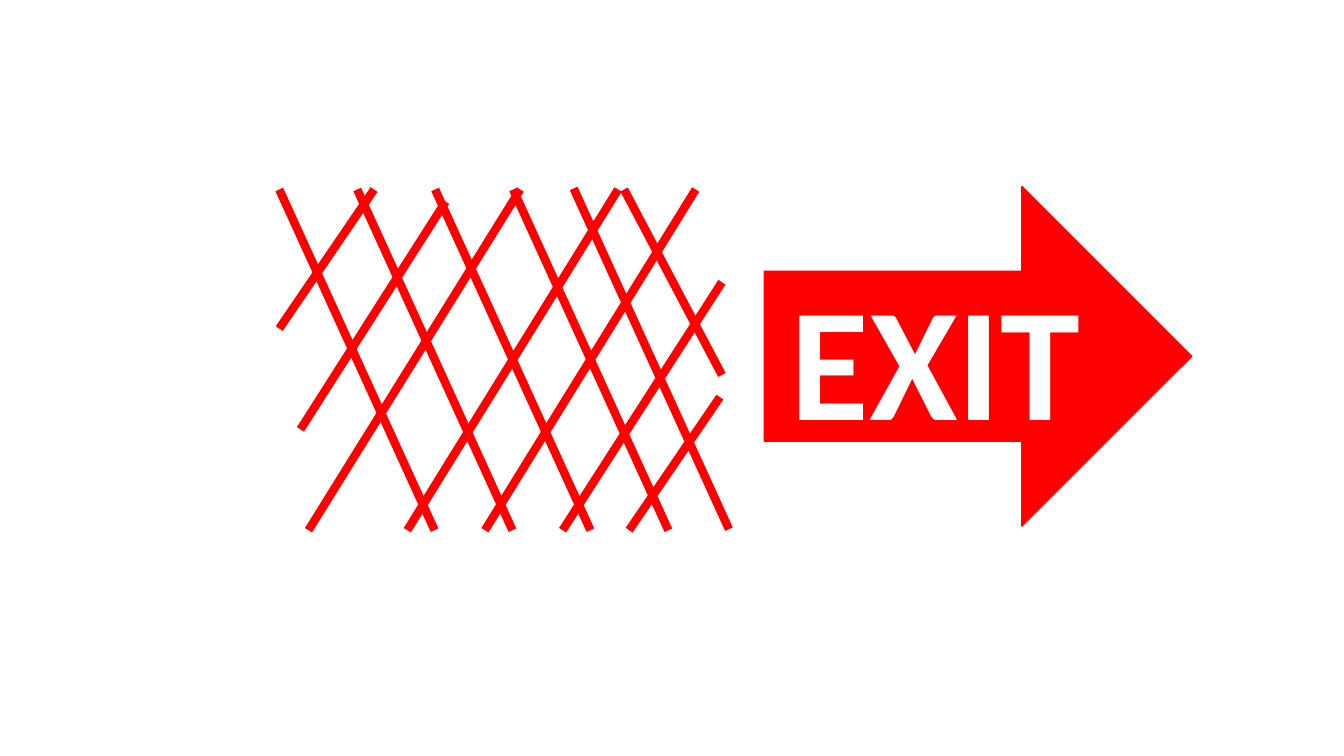
"""Build a slide with a lattice gate beside an exit arrow."""
from typing import NamedTuple

import pptx
import pptx.dml.color
import pptx.enum.shapes
import pptx.enum.text
import pptx.oxml.ns
import pptx.util
from pptx.util import Inches

COLORS = {"red": "FF0000", "white": "FFFFFF"}
TOP, BOTTOM = 1.88, 5.26
BAR_STEP = 0.773


class Bar(NamedTuple):
    """A lattice bar from its upper end to its lower end, in inches."""
    x1: float
    y1: float
    x2: float
    y2: float


FALLING_BARS = [
    Bar(2.77 + i * BAR_STEP, TOP, 4.31 + i * BAR_STEP, BOTTOM) for i in range(4)
] + [
    Bar(5.69, 1.87, 7.23, 5.25),
    Bar(6.19, TOP, 7.16, 3.72),
]
RISING_BARS = [
    Bar(3.71, TOP, 2.77, 3.26),
    Bar(4.42, 2.0, 2.98, 4.26),
    Bar(5.16, TOP, 3.06, BOTTOM),
    Bar(6.13, TOP, 4.04, BOTTOM),
    Bar(6.9, TOP, 4.81, BOTTOM),
    Bar(7.16, 2.8, 5.58, BOTTOM),
    Bar(7.14, 3.94, 6.24, BOTTOM),
]


def rgb(name: str) -> pptx.dml.color.RGBColor:
    """Return the named colour."""
    return pptx.dml.color.RGBColor.from_string(COLORS[name])


def set_line(line, color: str, width: float) -> None:
    """Give an outline its colour and its width in points."""
    line.color.rgb = rgb(color)
    line.width = pptx.util.Pt(width)


def set_text(shape, text: str, *, size: float, color: str,
             font: str = "Calibri", bold: bool = False) -> None:
    """Write centred text into a shape."""
    frame = shape.text_frame
    frame.word_wrap = True
    frame.vertical_anchor = pptx.enum.text.MSO_ANCHOR.MIDDLE
    paragraph = frame.paragraphs[0]
    paragraph.alignment = pptx.enum.text.PP_ALIGN.CENTER
    run = paragraph.add_run()
    run.text = text
    run.font.name = font
    run.font.size = pptx.util.Pt(size)
    run.font.bold = bold
    run.font.color.rgb = rgb(color)


def add_exit_arrow(slide) -> None:
    """Draw the arrow that carries the exit sign."""
    arrow = slide.shapes.add_shape(
        pptx.enum.shapes.MSO_SHAPE.RIGHT_ARROW,
        Inches(7.58), Inches(1.85), Inches(4.24), Inches(3.37))
    arrow.shadow.inherit = False
    arrow.fill.solid()
    arrow.fill.fore_color.rgb = rgb("red")
    set_line(arrow.line, "red", 1)
    set_text(arrow, "EXIT", size=115, color="white", bold=True)


def add_bar(slide, bar: Bar) -> None:
    """Draw one bar of the lattice without a shadow."""
    connector = slide.shapes.add_connector(
        pptx.enum.shapes.MSO_CONNECTOR.STRAIGHT,
        *(Inches(value) for value in bar))
    set_line(connector.line, "red", 6)
    properties = connector._element.spPr
    properties.append(properties.makeelement(pptx.oxml.ns.qn("a:effectLst"), {}))


def main() -> None:
    """Create the slide and save it."""
    presentation = pptx.Presentation()
    presentation.slide_width = Inches(13.33)
    presentation.slide_height = Inches(7.5)
    blank_layout = presentation.slide_layouts.get_by_name("Blank")
    slide = presentation.slides.add_slide(blank_layout)
    add_exit_arrow(slide)
    for bar in FALLING_BARS + RISING_BARS:
        add_bar(slide, bar)
    presentation.save("out.pptx")


main()
